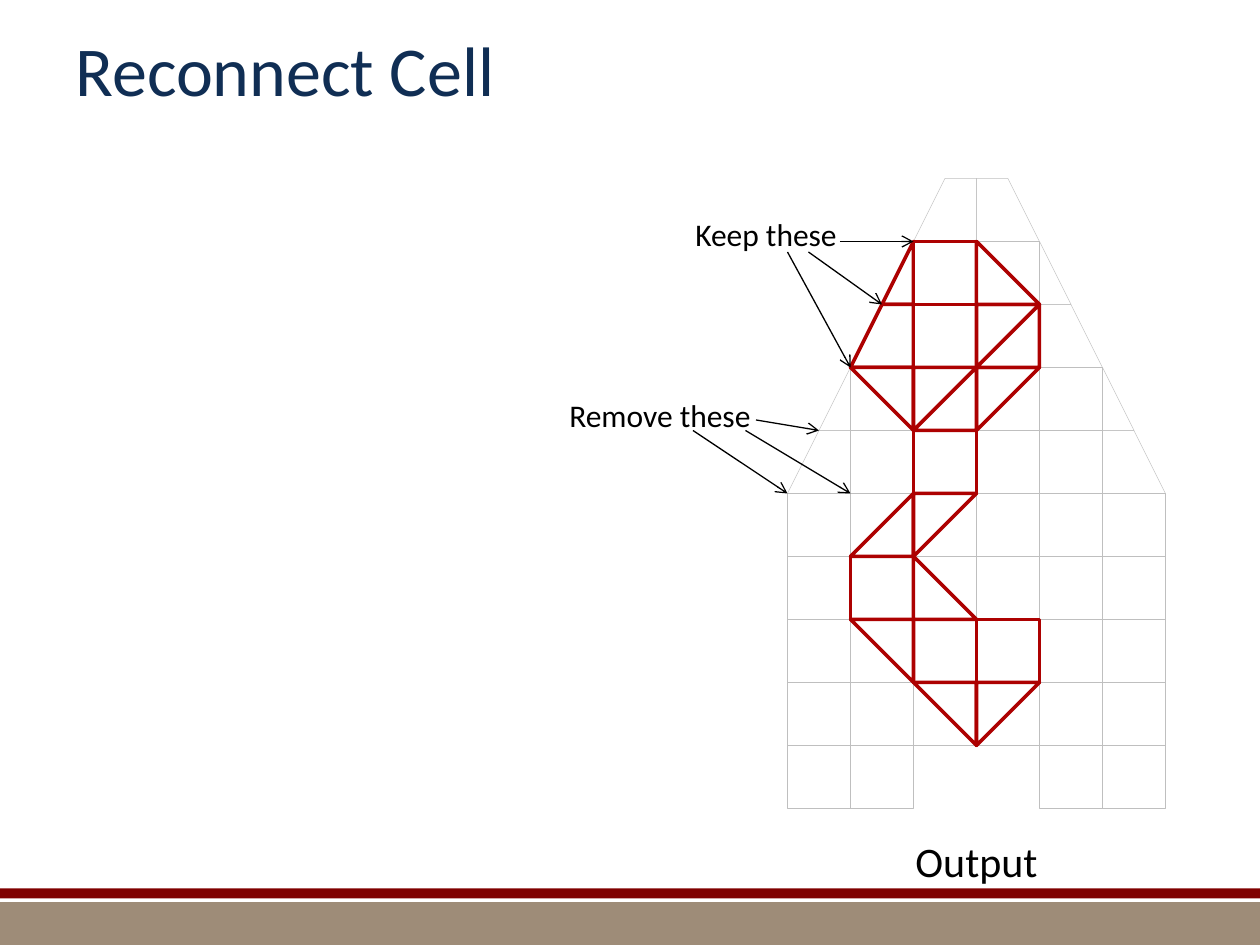
import pptx
import pptx.dml.color
import pptx.enum.shapes
import pptx.enum.text
import pptx.oxml
import pptx.oxml.ns
import pptx.util
from pptx.util import Inches

SHAPE = pptx.enum.shapes.MSO_SHAPE
TEXT = pptx.enum.text
CELL = 0.5
MID, TOP = 7.75, 17 / 12
GRAY, RED, WHITE, BLACK = "BFBFBF", "AD0101", "FFFFFF", "000000"

# Column and row of each red square
SQUARES = [(-1, 1), (-1, 2), (-1, 4), (-2, 6), (-1, 7), (0, 7)]
# Column, row and rotation of each red triangle
WEDGES = [
    (0, 3, 90), (0, 2, 90), (0, 2, 270), (0, 1, 0), (-2, 3, 180),
    (-1, 3, 90), (-1, 3, 270), (-2, 5, 270), (-1, 5, 90), (-1, 6, 0),
    (-2, 7, 180), (-1, 8, 180), (0, 8, 90),
]
# Cells that the red mesh fills wholly, so the gray grid leaves them out
FULL = SQUARES + [(0, 2), (-1, 3)]
LABELS = [
    ("Output", 7.16, 6.58, 1.18, 0.5, 24, TEXT.PP_ALIGN.CENTER),
    ("Keep these", 5.42, 1.66, 1.34, 0.4, 18, TEXT.PP_ALIGN.LEFT),
    ("Remove these", 4.42, 3.09, 1.66, 0.4, 18, TEXT.PP_ALIGN.LEFT),
]
# Start and end of each arrow, in twelfths of an inch
ARROWS = [
    (80, 23, 87, 23), (77, 24, 84, 29), (75, 24, 81, 35),
    (72, 40, 78, 41), (71, 41, 81, 47), (66, 41, 75, 47),
]


def color(code):
    return pptx.dml.color.RGBColor.from_string(code)


def style(shape, fill=None, line=None, width=0):
    shape.shadow.inherit = False
    if fill:
        shape.fill.solid()
        shape.fill.fore_color.rgb = color(fill)
    else:
        shape.fill.background()
    if line:
        shape.line.color.rgb = color(line)
        shape.line.width = pptx.util.Pt(width)
    else:
        shape.line.fill.background()


def place(col, row):
    """Turn a grid corner, counted from the top of the middle line, to lengths."""
    return Inches(MID + col * CELL), Inches(TOP + row * CELL)


def add_cell(shapes, kind, col, row, look, turn=0):
    shape = shapes.add_shape(kind, *place(col, row), Inches(CELL), Inches(CELL))
    shape.rotation = turn
    style(shape, *look)


def add_shard(shapes, side, corners, look):
    """Draw an outline on the left (-1) or right (1) of the middle line."""
    points = [place(side * col, row) for col, row in corners]
    pen = shapes.build_freeform(*points[0])
    pen.add_line_segments(points[1:], close=True)
    style(pen.convert_to_shape(), *look)


def slope(k):
    """Corners of the four-sided piece at the top of column k."""
    return [(k, 2 * k), (k, 2 * k + 1), (k + 1, 2 * k + 1), (k + 0.5, 2 * k)]


def spike(k):
    """Corners of the triangle outside column k - 1."""
    return [(k, 2 * k - 1), (k, 2 * k), (k + 0.5, 2 * k)]


def add_grid(slide):
    shapes = slide.shapes.add_group_shape().shapes
    look = (None, GRAY, 0.25)
    for side in (1, -1):
        for k in range(3):
            col = k if side == 1 else -k - 1
            for row in range(2 * k + 1, 10 if k else 9):
                if (col, row) not in FULL:
                    add_cell(shapes, SHAPE.RECTANGLE, col, row, look)
            if (side, k) == (-1, 1):
                continue  # the red mesh fills these two pieces
            add_shard(shapes, side, slope(k), look)
            if k:
                add_shard(shapes, side, spike(k), look)


def add_mesh(slide):
    look = (WHITE, RED, 2)
    for corners in (spike(1), slope(1)):
        add_shard(slide.shapes, -1, corners, look)
    for col, row in SQUARES:
        add_cell(slide.shapes, SHAPE.RECTANGLE, col, row, look)
    for col, row, turn in WEDGES:
        add_cell(slide.shapes, SHAPE.RIGHT_TRIANGLE, col, row, look, turn)


def add_run(para, text, size, code):
    run = para.add_run()
    run.text = text
    run.font.size = pptx.util.Pt(size)
    run.font.name = "Calibri"
    run.font.color.rgb = color(code)


def add_label(slide, text, left, top, width, height, size, align):
    box = slide.shapes.add_textbox(*map(Inches, (left, top, width, height)))
    frame = box.text_frame
    frame.word_wrap = False
    frame.auto_size = TEXT.MSO_AUTO_SIZE.SHAPE_TO_FIT_TEXT
    frame.paragraphs[0].alignment = align
    add_run(frame.paragraphs[0], text, size, BLACK)


def add_arrow(slide, ends):
    kind = pptx.enum.shapes.MSO_CONNECTOR.STRAIGHT
    arrow = slide.shapes.add_connector(kind, *[Inches(n / 12) for n in ends])
    arrow.line.color.rgb = color(BLACK)
    arrow.line.width = pptx.util.Pt(0.75)
    line = arrow.line._get_or_add_ln()
    head = pptx.oxml.parse_xml(
        f'<a:tailEnd {pptx.oxml.ns.nsdecls("a")} type="arrow"/>')
    line.append(head)
    blank = pptx.oxml.parse_xml(f'<a:effectLst {pptx.oxml.ns.nsdecls("a")}/>')
    line.addnext(blank)


def add_title(slide, text):
    title = slide.shapes.title
    title.left, title.top = Inches(0.5), Inches(0)
    title.width, title.height = Inches(9), Inches(1.08)
    frame = title.text_frame
    frame.vertical_anchor = TEXT.MSO_ANCHOR.MIDDLE
    frame.paragraphs[0].alignment = TEXT.PP_ALIGN.LEFT
    add_run(frame.paragraphs[0], text, 40, "102E54")


def add_band(slide, top, height, fill):
    band = slide.shapes.add_shape(
        SHAPE.RECTANGLE, 0, Inches(top), Inches(10), Inches(height))
    style(band, fill)


def main():
    deck = pptx.Presentation()
    deck.slide_width, deck.slide_height = Inches(10), Inches(7.5)
    slide = deck.slides.add_slide(deck.slide_layouts[5])
    add_band(slide, 7.16, 0.34, "9E8C78")
    add_band(slide, 7.05, 0.08, "800000")
    add_title(slide, "Reconnect Cell")
    add_grid(slide)
    add_mesh(slide)
    for label in LABELS:
        add_label(slide, *label)
    for ends in ARROWS:
        add_arrow(slide, ends)
    deck.save("out.pptx")


if __name__ == "__main__":
    main()
